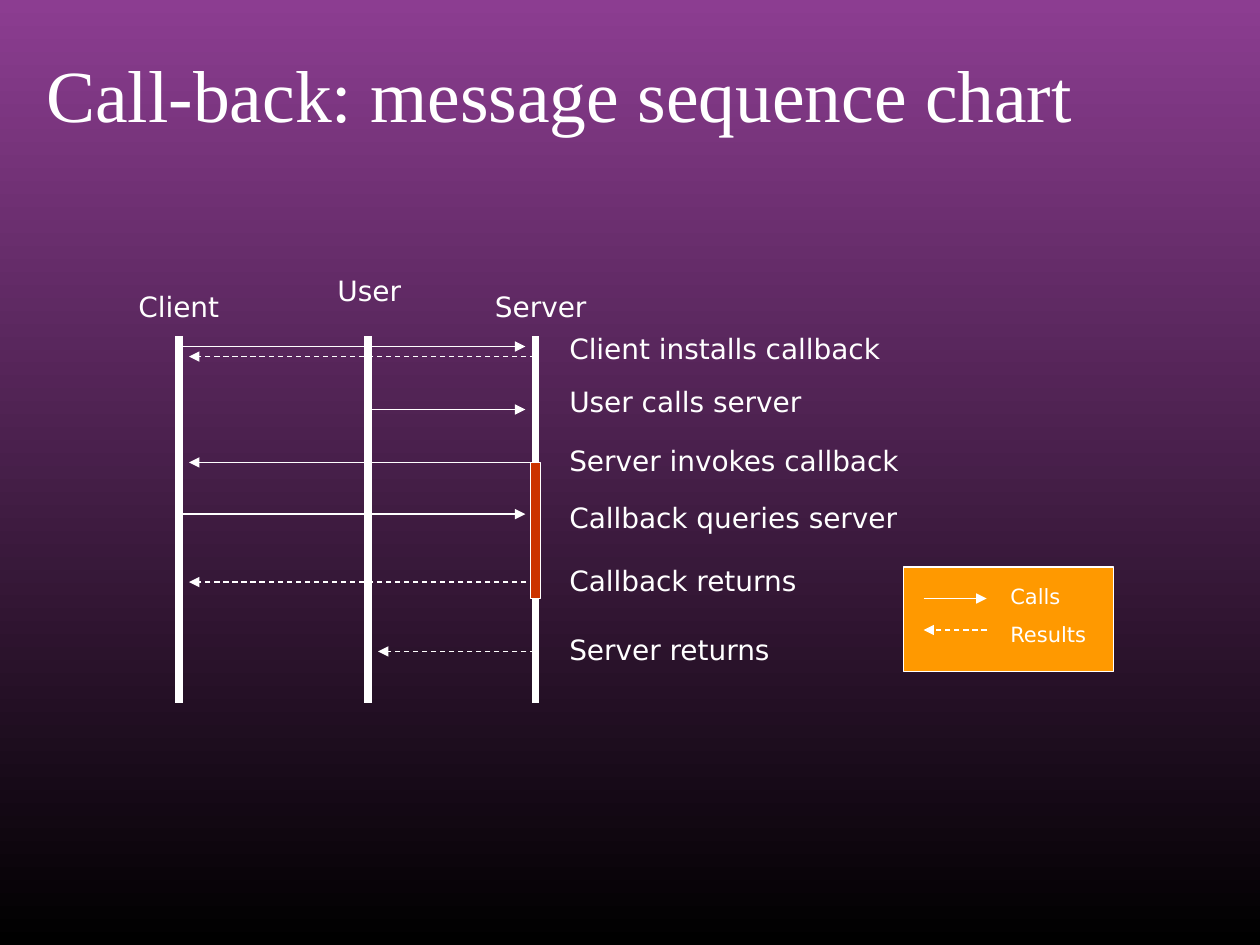
"""Build a slide with a message sequence chart of a call-back."""
from lxml.etree import SubElement
from pptx import Presentation
from pptx.dml.color import RGBColor
from pptx.enum.dml import MSO_LINE
from pptx.enum.shapes import MSO_CONNECTOR, MSO_SHAPE
from pptx.enum.text import MSO_ANCHOR
from pptx.oxml.ns import qn
from pptx.util import Inches, Pt

WHITE, BLACK, PURPLE = "FFFFFF", "000000", "8C3D91"
ORANGE, RED = "FF9900", "CC3300"
SANS, SERIF = "DejaVu Sans", "Times New Roman"
THIN, THICK = 0.74, 4.51
TOP, END, GAP = 2.67, 5.58, 0.08

TITLE = "Call-back: message sequence chart"
LIVES = {"Client": 1.42, "User": 2.92, "Server": 4.25}
HEADS = [("Client", 1, 2.25), ("User", 2.58, 2.12), ("Server", 3.83, 2.25)]
CALLS = [
    ("Client", "Server", 2.75, False),
    ("Server", "Client", 2.83, True),
    ("User", "Server", 3.25, False),
    ("Server", "Client", 3.67, False),
    ("Client", "Server", 4.08, False),
    ("Server", "Client", 4.62, True),
    ("Server", "User", 5.17, True),
]
NOTES = [
    ("Client installs callback", 2.58),
    ("User calls server", 3),
    ("Server invokes callback", 3.47),
    ("Callback queries server", 3.92),
    ("Callback returns", 4.42),
    ("Server returns", 4.97),
]
KEY = ["Calls", "Results"]


def tint(code):
    return RGBColor.from_string(code)


def add_text(lines, x, y, w, h, size=16, font=SANS, gap=0):
    box = slide.shapes.add_textbox(Inches(x), Inches(y), Inches(w), Inches(h))
    frame = box.text_frame
    frame.word_wrap = True
    for i, line in enumerate(lines):
        para = frame.paragraphs[0] if i == 0 else frame.add_paragraph()
        para.space_before = Pt(gap)
        run = para.add_run()
        run.text = line
        run.font.size, run.font.name = Pt(size), font
        run.font.color.rgb = tint(WHITE)
    return frame


def add_line(x1, y1, x2, y2, width=THIN, dash=False, arrow=True):
    ends = [Inches(v) for v in (x1, y1, x2, y2)]
    link = slide.shapes.add_connector(MSO_CONNECTOR.STRAIGHT, *ends)
    link.line.color.rgb = tint(WHITE)
    link.line.width = Pt(width)
    if dash:
        link.line.dash_style = MSO_LINE.DASH
    if arrow:
        SubElement(link.line._get_or_add_ln(), qn("a:tailEnd"), type="triangle")
    SubElement(link._element.spPr, qn("a:effectLst"))


def add_box(x, y, w, h, fill):
    box = slide.shapes.add_shape(
        MSO_SHAPE.RECTANGLE, Inches(x), Inches(y), Inches(w), Inches(h))
    box.shadow.inherit = False
    box.fill.solid()
    box.fill.fore_color.rgb = tint(fill)
    box.line.color.rgb = tint(WHITE)
    box.line.width = Pt(THIN)


deck = Presentation()
deck.slide_width, deck.slide_height = Inches(10), Inches(7.5)
slide = deck.slides.add_slide(deck.slide_layouts[6])
back = slide.background.fill
back.gradient()
back.gradient_angle = 90
for stop, code in zip(back.gradient_stops, (BLACK, PURPLE)):
    stop.color.rgb = tint(code)

add_box(7.17, 4.5, 1.67, 0.83, ORANGE)
title = add_text([TITLE], 0.27, 0.33, 9.53, 0.82, 42, SERIF)
title.vertical_anchor = MSO_ANCHOR.MIDDLE

for x in LIVES.values():
    add_line(x, TOP, x, END, THICK, arrow=False)
for name, x, y in HEADS:
    add_text([name], x, y, 1.17, 0.37)
for source, target, y, dash in CALLS:
    x1, x2 = LIVES[source], LIVES[target]
    add_line(x1, y, x2 - GAP if x2 > x1 else x2 + GAP, y, dash=dash)
for note, y in NOTES:
    add_text([note], 4.42, y, 3, 0.37)
add_box(LIVES["Server"] - GAP / 2, 3.67, GAP, 1.08, RED)

add_line(7.33, 4.75, 7.83, 4.75)
add_line(7.83, 5, 7.33, 5, dash=True)
add_text(KEY, 7.92, 4.58, 1.08, 0.61, 12, gap=7.5)

deck.save("out.pptx")
